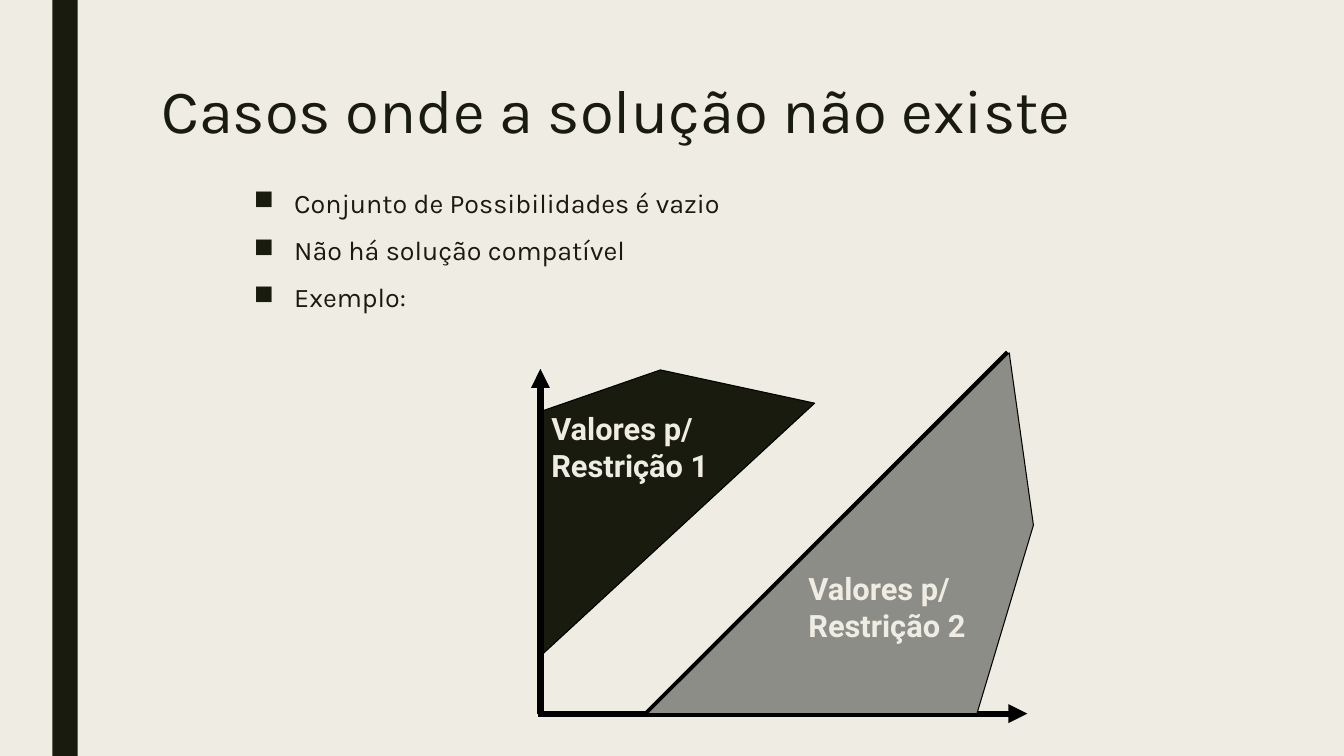
from lxml import etree
from pptx import Presentation
from pptx.dml.color import RGBColor
from pptx.enum.shapes import MSO_CONNECTOR, MSO_SHAPE
from pptx.enum.text import MSO_ANCHOR, MSO_AUTO_SIZE, PP_ALIGN
from pptx.oxml.ns import qn
from pptx.util import Inches, Pt

STRAIGHT, RECT = MSO_CONNECTOR.STRAIGHT, MSO_SHAPE.RECTANGLE
TOP, LEFT = MSO_ANCHOR.TOP, PP_ALIGN.LEFT
NO_FIT, GROW = MSO_AUTO_SIZE.NONE, MSO_AUTO_SIZE.SHAPE_TO_FIT_TEXT

CREAM = RGBColor(0xEF, 0xED, 0xE3)
DARK = RGBColor(0x19, 0x1B, 0x0E)
GRAY = RGBColor(0x8C, 0x8D, 0x86)
BLACK = RGBColor(0, 0, 0)

ORIGIN_Y = 7.08
BULLETS = ["Conjunto de Possibilidades é vazio", "Não há solução compatível", "Exemplo:"]


class SlideBuilder:
    title_font = {"name": "Karla", "size": Pt(44), "bold": False}
    body_font = {"name": "Karla", "size": Pt(19.2)}
    label_font = {"name": "Roboto", "size": Pt(22), "bold": True}

    def __init__(self, prs):
        self.s = prs.slides.add_slide(prs.slide_layouts[5])
        fill = self.s.background.fill
        fill.solid()
        fill.fore_color.rgb = CREAM

    def add_text(self, p, text, font, color):
        r = p.add_run()
        r.text = text
        for name, value in font.items():
            setattr(r.font, name, value)
        r.font.color.rgb = color

    def paint(self, sp, color):
        sp.shadow.inherit = False
        sp.fill.solid()
        sp.fill.fore_color.rgb = color

    def title(self, text, at):
        sp = self.s.shapes.title
        sp.left, sp.top, sp.width, sp.height = (Inches(v) for v in at)
        tf = sp.text_frame
        tf.vertical_anchor, tf.auto_size, tf.word_wrap = TOP, NO_FIT, True
        p = tf.paragraphs[0]
        p.alignment, p.line_spacing = LEFT, 0.89
        self.add_text(p, text, self.title_font, DARK)

    def bar(self, at, color):
        sp = self.s.shapes.add_shape(RECT, *(Inches(v) for v in at))
        self.paint(sp, color)
        sp.line.fill.background()

    def text_box(self, at):
        return self.s.shapes.add_textbox(*(Inches(v) for v in at)).text_frame

    def bullets(self, items, at):
        tf = self.text_box(at)
        tf.word_wrap = True
        for i, text in enumerate(items):
            p = tf.add_paragraph() if i else tf.paragraphs[0]
            p.line_spacing, p.space_after = 0.94, Pt(2)
            p.space_before = Pt(10 if i else 0)
            pPr = p._p.get_or_add_pPr()
            pPr.set("marL", str(Inches(0.4)))
            pPr.set("indent", str(-Inches(0.4)))
            etree.SubElement(pPr, qn("a:buChar")).set("char", "■")
            self.add_text(p, text, self.body_font, DARK)

    def label(self, lines, at):
        tf = self.text_box(at)
        tf.word_wrap, tf.auto_size = False, GROW
        for i, text in enumerate(lines):
            p = tf.add_paragraph() if i else tf.paragraphs[0]
            self.add_text(p, text, self.label_font, CREAM)

    def region(self, points, color):
        start, *rest = [(Inches(x), Inches(y)) for x, y in points]
        fb = self.s.shapes.build_freeform(*start)
        fb.add_line_segments(rest, close=True)
        sp = fb.convert_to_shape()
        self.paint(sp, color)
        sp.line.color.rgb, sp.line.width = BLACK, Pt(0.75)

    def line(self, start, end, arrow=False):
        cx = self.s.shapes.add_connector(STRAIGHT, *(Inches(v) for v in start + end))
        cx.line.color.rgb, cx.line.width = BLACK, Pt(4.5)
        spPr = cx.element.spPr
        if arrow:
            etree.SubElement(spPr.find(qn("a:ln")), qn("a:tailEnd")).set("type", "triangle")
        etree.SubElement(spPr, qn("a:effectLst"))


def main():
    prs = Presentation()
    prs.slide_width, prs.slide_height = Inches(13.33), Inches(7.5)
    b = SlideBuilder(prs)

    b.bar((0.52, 0, 0.25, 7.5), DARK)
    b.title("Casos onde a solução não existe", (1.5, 0.75, 10.5, 1.62))
    b.bullets(BULLETS, (2.42, 1.83, 7.5, 1.33))

    b.region([(8.08, 4), (6.55, 3.67), (5.37, 4.08), (5.37, 6.5)], DARK)
    b.label(["Valores p/", "Restrição 1"], (5.37, 4.02, 1.93, 0.83))

    b.line((5.36, ORIGIN_Y), (5.36, 3.66), arrow=True)
    b.line((5.34, ORIGIN_Y), (10.19, ORIGIN_Y), arrow=True)
    b.line((6.42, ORIGIN_Y), (10, 3.5))

    b.region([(6.42, ORIGIN_Y), (9.69, ORIGIN_Y), (10.25, 5.21), (10.01, 3.5)], GRAY)
    b.label(["Valores p/", "Restrição 2"], (7.92, 5.6, 1.93, 0.83))

    prs.save("out.pptx")


if __name__ == "__main__":
    main()
